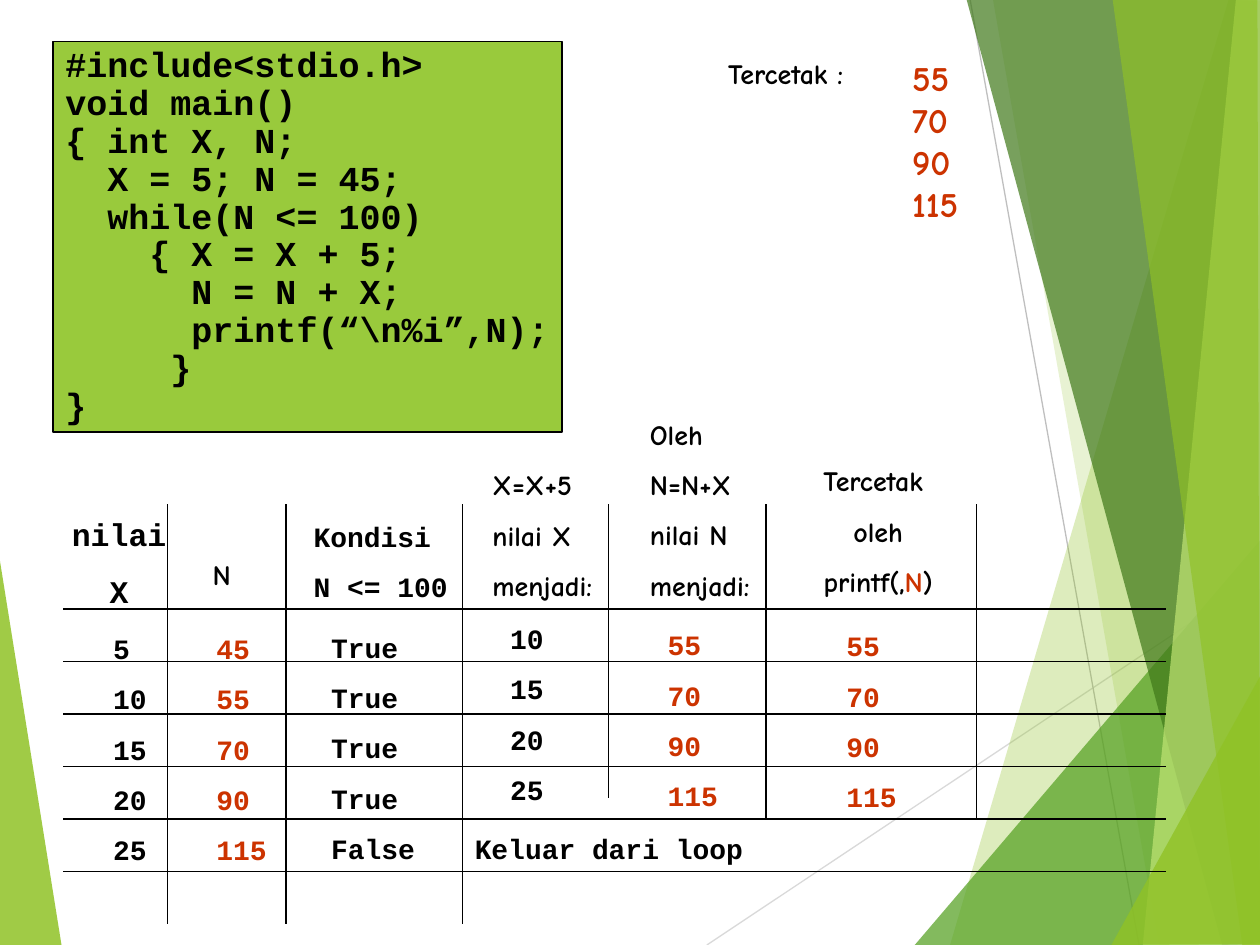
from dataclasses import dataclass

from lxml.etree import SubElement
from pptx import Presentation
from pptx.dml.color import RGBColor
from pptx.enum.shapes import MSO_CONNECTOR, MSO_SHAPE
from pptx.enum.text import MSO_ANCHOR, MSO_AUTO_SIZE, PP_ALIGN
from pptx.oxml.ns import qn
from pptx.util import Inches, Pt


@dataclass(frozen=True)
class Theme:
    black: str = "000000"
    red: str = "CC3300"
    code_fill: str = "99CA3C"
    leaf: str = "90C226"
    grass: str = "54A021"
    forest: str = "3F7819"
    lime: str = "C0E474"
    pale_grey: str = "D9D9D9"
    grey: str = "BFBFBF"
    mono: str = "Courier New"
    comic: str = "Comic Neue"
    body: int = 16
    label: int = 18
    large: int = 20
    line: float = 0.75


T = Theme()

LEFT_FACET = ([(-0.01, 4.39), (0.49, 7.51), (-0.01, 7.5)], T.leaf, 85)
RIGHT_FACETS = [
    ([(9.75, 0), (7.54, 7.5), (10.02, 7.51), (10.01, 0.01)], T.leaf, 30),
    ([(7.88, -0.01), (9.2, 7.5), (10.01, 7.5), (10.01, -0.01)], T.leaf, 20),
    ([(7.26, 7.5), (10, 4.29), (10.01, 7.5)], T.grass, 72),
    ([(7.67, -0.01), (9.7, 7.5), (10.01, 7.49), (10.01, -0.01)], T.forest, 70),
    ([(9.81, -0.01), (9.07, 7.5), (10.01, 7.5), (10, -0.01)], T.lime, 70),
    ([(8.83, -0.01), (9.86, 7.5), (10, 7.5), (9.98, -0.01)], T.leaf, 65),
    ([(8.82, 7.5), (10.01, 5.35), (10.01, 7.49)], T.leaf, 80),
]

CODE = [
    "#include<stdio.h>",
    "void main()",
    "{ int X, N;",
    "  X = 5; N = 45;",
    "  while(N <= 100)",
    "    { X = X + 5;",
    "      N = N + X;",
    "      printf(“\\n%i”,N);",
    "     }",
    "}",
]
PRINTED = ["55", "70", "90", "115"]
N_VALUES = ["45"] + PRINTED
X_VALUES = ["5", "10", "15", "20", "25"]
CONDITIONS = ["True"] * 4 + ["False"]

GRID_LEFT, GRID_RIGHT = 0.5, 9.25
HEADER_TOP, FIRST_RULE, ROW_HEIGHT, RULES = 4, 29 / 6, 5 / 12, 6
COLUMN_ENDS = {1.33: 7.33, 2.27: 7.33, 3.67: 7.33, 4.83: 6.33, 6.08: 6.5, 7.75: 6.5}


def rgb(color):
    return RGBColor.from_string(color)


def add_facet(s, points, color, opacity):
    """Draw a translucent polygon of the background."""
    start, *rest = [(Inches(x), Inches(y)) for x, y in points]
    builder = s.shapes.build_freeform(*start, scale=1.0)
    builder.add_line_segments(rest, close=True)
    sp = builder.convert_to_shape()
    sp.shadow.inherit = False
    sp.line.fill.background()
    sp.fill.solid()
    sp.fill.fore_color.rgb = rgb(color)
    clr = sp.fill._xPr.find(qn("a:solidFill")).find(qn("a:srgbClr"))
    SubElement(clr, qn("a:alpha")).set("val", str(opacity * 1000))


def add_line(s, x1, y1, x2, y2, color=T.black):
    line = s.shapes.add_connector(
        MSO_CONNECTOR.STRAIGHT, Inches(x1), Inches(y1), Inches(x2), Inches(y2))
    line.line.color.rgb = rgb(color)
    line.line.width = Pt(T.line)
    SubElement(line._element.spPr, qn("a:effectLst"))


def write_lines(tf, lines, font, size, color, spacing, align=PP_ALIGN.LEFT):
    """Fill a frame; a line is a string or a list of (text, color) runs."""
    tf.word_wrap = False
    tf.auto_size = MSO_AUTO_SIZE.SHAPE_TO_FIT_TEXT
    tf.vertical_anchor = MSO_ANCHOR.TOP
    for i, line in enumerate(lines):
        p = tf.paragraphs[0] if i == 0 else tf.add_paragraph()
        p.alignment = align
        p.line_spacing = spacing
        for text, run_color in [(line, color)] if isinstance(line, str) else line:
            r = p.add_run()
            r.text = text
            r.font.name = font
            r.font.size = Pt(size)
            r.font.bold = True
            r.font.color.rgb = rgb(run_color)


def add_text(s, box, lines, font=T.mono, size=T.body, color=T.black,
             spacing=1.5, align=PP_ALIGN.LEFT):
    sp = s.shapes.add_textbox(*map(Inches, box))
    write_lines(sp.text_frame, lines, font, size, color, spacing, align)


def add_background(s):
    add_facet(s, *LEFT_FACET)
    add_line(s, 5.61, 7.5, 10.01, 4.57, T.pale_grey)
    add_line(s, 7.7, 0, 9.04, 7.5, T.grey)
    for facet in RIGHT_FACETS:
        add_facet(s, *facet)


def add_code(s):
    sp = s.shapes.add_shape(
        MSO_SHAPE.RECTANGLE, Inches(0.42), Inches(0.33), Inches(4.04), Inches(3.1))
    sp.shadow.inherit = False
    sp.fill.solid()
    sp.fill.fore_color.rgb = rgb(T.code_fill)
    sp.line.color.rgb = rgb(T.black)
    sp.line.width = Pt(T.line)
    write_lines(sp.text_frame, CODE, T.mono, T.large, T.black, 0.9)


def add_output(s):
    add_text(s, (5.68, 0.4, 1.14, 0.37), ["Tercetak :"], T.comic, spacing=1)
    add_text(s, (7.14, 0.4, 0.58, 1.44), PRINTED, T.comic, T.large, T.red, 1)


def add_grid(s):
    for x, bottom in COLUMN_ENDS.items():
        add_line(s, x, HEADER_TOP, x, bottom)
    for i in range(RULES):
        y = FIRST_RULE + i * ROW_HEIGHT
        add_line(s, GRID_LEFT, y, GRID_RIGHT, y)


def add_headers(s):
    add_text(s, (0.47, 3.89, 0.95, 1), ["nilai", "X"], size=T.label,
             align=PP_ALIGN.CENTER)
    add_text(s, (1.59, 4.38, 0.34, 0.37), ["N"], T.comic, spacing=1)
    add_text(s, (2.39, 3.94, 1.28, 0.9), ["Kondisi", "N <= 100"])
    add_text(s, (3.81, 3.53, 0.99, 1.3), ["X=X+5", "nilai X", "menjadi:"], T.comic)
    add_text(s, (5.06, 3.13, 0.99, 1.7),
             ["Oleh", "N=N+X", "nilai N", "menjadi:"], T.comic)
    call = [("printf(,", T.black), ("N", T.red), (")", T.black)]
    add_text(s, (6.42, 3.5, 1.1, 1.3), ["Tercetak ", "oleh", call], T.comic,
             align=PP_ALIGN.CENTER)


def add_values(s):
    add_text(s, (0.8, 4.83, 0.48, 2.1), X_VALUES)
    add_text(s, (1.62, 4.83, 0.6, 2.1), N_VALUES, color=T.red)
    add_text(s, (2.53, 4.82, 0.88, 2.1), CONDITIONS)
    add_text(s, (3.95, 4.75, 0.48, 1.7), X_VALUES[1:])
    add_text(s, (5.2, 4.8, 0.6, 1.7), PRINTED, color=T.red)
    add_text(s, (6.62, 4.81, 0.6, 1.7), PRINTED, color=T.red)
    add_text(s, (3.67, 6.42, 2.34, 0.5), ["Keluar dari loop"])


def main():
    prs = Presentation()
    prs.slide_width, prs.slide_height = Inches(10), Inches(7.5)
    s = prs.slides.add_slide(prs.slide_layouts[6])
    add_background(s)
    add_code(s)
    add_output(s)
    add_grid(s)
    add_headers(s)
    add_values(s)
    prs.save("out.pptx")


if __name__ == "__main__":
    main()
